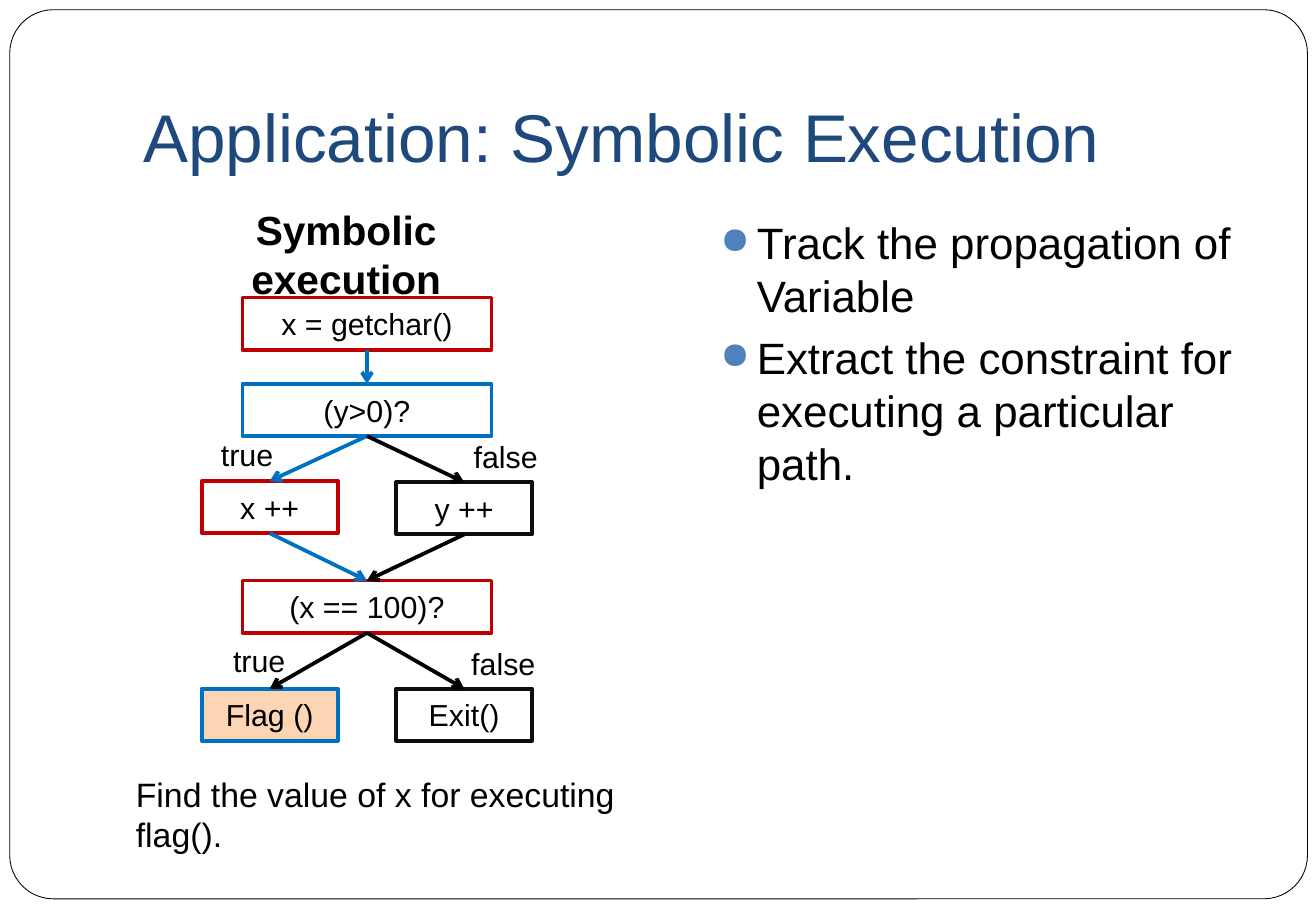
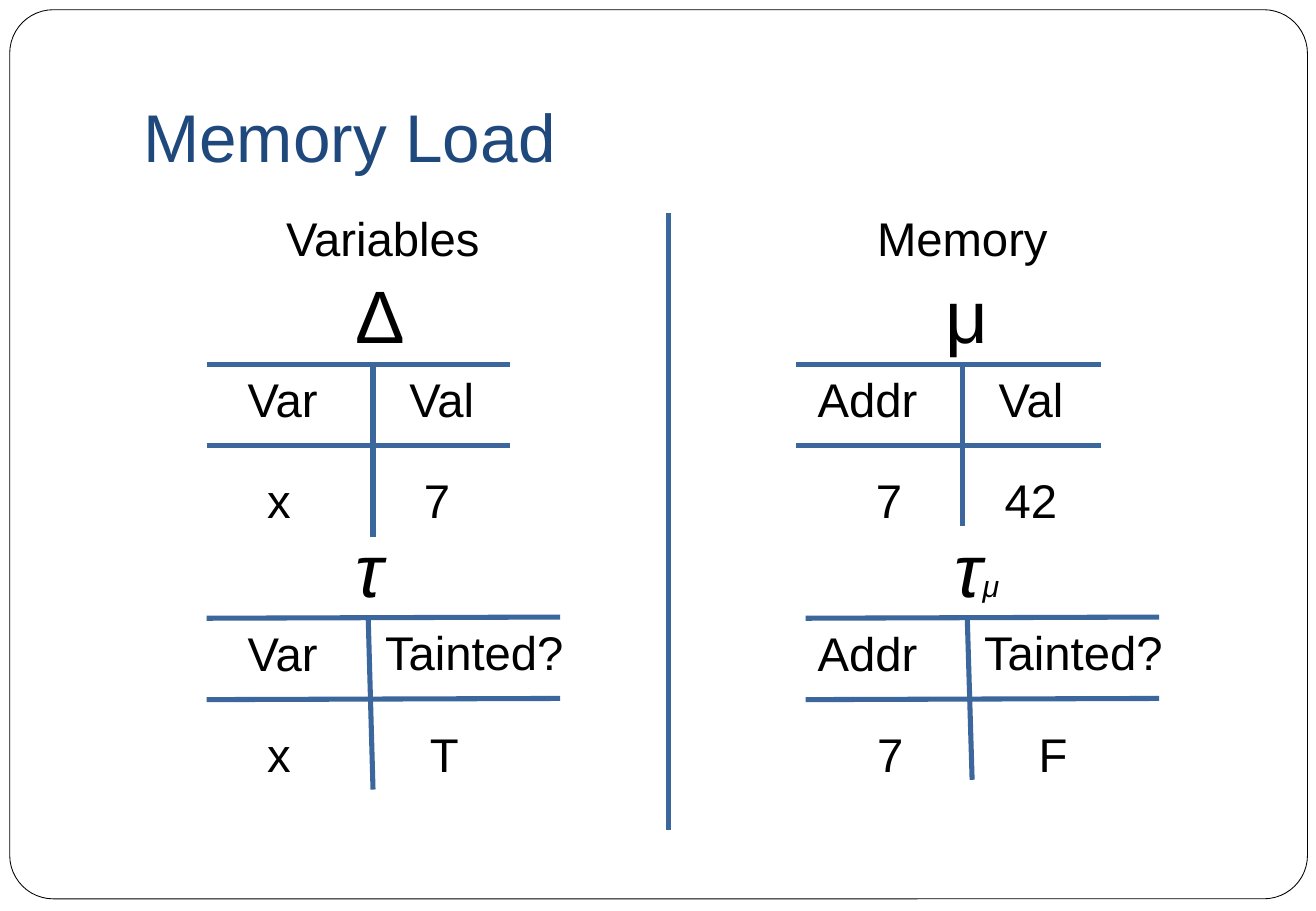
from dataclasses import dataclass

from lxml import etree
from pptx import Presentation
from pptx.dml.color import RGBColor
from pptx.enum.shapes import MSO_CONNECTOR, MSO_SHAPE
from pptx.enum.text import MSO_ANCHOR, MSO_AUTO_SIZE, PP_ALIGN
from pptx.oxml.ns import qn
from pptx.util import Inches, Pt

STRAIGHT = MSO_CONNECTOR.STRAIGHT
RECTANGLE = MSO_SHAPE.RECTANGLE
ROUNDED = MSO_SHAPE.ROUNDED_RECTANGLE
TOP, MIDDLE, BOTTOM = MSO_ANCHOR.TOP, MSO_ANCHOR.MIDDLE, MSO_ANCHOR.BOTTOM
GROW = MSO_AUTO_SIZE.SHAPE_TO_FIT_TEXT
LEFT, CENTER = PP_ALIGN.LEFT, PP_ALIGN.CENTER
BOTTOM_SITE, TOP_SITE = 2, 0


@dataclass(frozen=True)
class Theme:
    """Colours, font and type sizes shared by all slides."""

    font: str = "Arial"
    ink: str = "000000"
    paper: str = "FFFFFF"
    title: str = "1F497D"
    bullet: str = "4F81BD"
    rule: str = "3B679C"
    red: str = "C00000"
    blue: str = "0070C0"
    dark: str = "0D0D0D"
    peach: str = "FCD5B5"
    title_size: float = 40
    symbol_size: float = 44
    column_size: float = 28
    body_size: float = 26
    heading_size: float = 24.1
    caption_size: float = 20
    node_size: float = 18
    space_before: float = 5.8


@dataclass(frozen=True)
class Ledger:
    """A two-column lookup with offsets measured from its left edge."""

    left: float
    top: float
    width: float
    depth: float
    symbol: tuple
    key: tuple
    value_heading: str
    entry_key: tuple
    entry_value: tuple
    slanted: bool = False


THEME = Theme()


def rgb(color):
    """Turn a hex string into a colour."""
    return RGBColor.from_string(color)


def style(para, size, color=THEME.ink, bold=None, italic=None, align=LEFT):
    """Set the font and alignment of a paragraph."""
    para.alignment = align
    font = para.font
    font.name, font.size, font.bold, font.italic = THEME.font, Pt(size), bold, italic
    font.color.rgb = rgb(color)


def add_text(shapes, box, text, size, anchor=TOP, wrap=True, grow=False, **look):
    """Add a one-paragraph text box and return it."""
    label = shapes.add_textbox(*map(Inches, box))
    frame = label.text_frame
    frame.word_wrap = wrap
    frame.vertical_anchor = anchor
    if grow:
        frame.auto_size = GROW
    frame.text = text
    style(frame.paragraphs[0], size, **look)
    return label


def add_panel(shapes, kind, box, line_color, line_width, fill=THEME.paper):
    """Add a filled, outlined shape without shadow."""
    panel = shapes.add_shape(kind, *map(Inches, box))
    panel.shadow.inherit = False
    panel.fill.solid()
    panel.fill.fore_color.rgb = rgb(fill)
    panel.line.color.rgb = rgb(line_color)
    panel.line.width = Pt(line_width)
    return panel


def add_line(shapes, start, end, color, width, arrow=False):
    """Add a straight connector, with an arrowhead if asked."""
    line = shapes.add_connector(STRAIGHT, *map(Inches, (*start, *end)))
    line.line.color.rgb = rgb(color)
    line.line.width = Pt(width)
    properties = line._element.spPr
    if arrow:
        etree.SubElement(properties.find(qn("a:ln")), qn("a:tailEnd"), type="arrow")
    etree.SubElement(properties, qn("a:effectLst"))
    return line


def start_page(deck, title):
    """Add a blank slide with the rounded frame and the title."""
    page = deck.slides.add_slide(deck.slide_layouts[6])
    frame = add_panel(page.shapes, ROUNDED, (0.08, 0.08, 10.68, 7.32), THEME.ink, 0.5)
    frame.adjustments[0] = 0.049
    heading = add_text(page.shapes, (1.08, 0.3, 9.21, 1.25), title, THEME.title_size,
                       anchor=BOTTOM, color=THEME.title)
    heading.text_frame.margin_bottom = Inches(0.1)
    return page


def draw_flowchart(page, left, top):
    """Draw the branching program with its top left corner at the given point."""
    wide, narrow, height = 2.05, 1.12, 0.43
    true_x, middle_x, false_x = 0.56, 1.36, 2.16
    node_rows = {
        "input": (middle_x, 0, wide, "x = getchar()", THEME.red, THEME.paper),
        "test y": (middle_x, 0.71, wide, "(y>0)?", THEME.blue, THEME.paper),
        "add x": (true_x, 1.51, narrow, "x ++", THEME.red, THEME.paper),
        "add y": (false_x, 1.52, narrow, "y ++", THEME.dark, THEME.paper),
        "test x": (middle_x, 2.33, wide, "(x == 100)?", THEME.red, THEME.paper),
        "flag": (true_x, 3.22, narrow, "Flag ()", THEME.blue, THEME.peach),
        "exit": (false_x, 3.22, narrow, "Exit()", THEME.dark, THEME.paper),
    }
    nodes = {}
    for name, (center, y, width, text, line_color, fill) in node_rows.items():
        box = (left + center - width / 2, top + y, width, height)
        node = add_panel(page.shapes, RECTANGLE, box, line_color, 2.25, fill)
        node.text_frame.text = text
        node.text_frame.vertical_anchor = MIDDLE
        style(node.text_frame.paragraphs[0], THEME.node_size, align=CENTER)
        nodes[name] = node

    for source, target, color in (
        ("input", "test y", THEME.blue),
        ("test y", "add x", THEME.blue),
        ("test y", "add y", THEME.ink),
        ("add x", "test x", THEME.blue),
        ("add y", "test x", THEME.ink),
        ("test x", "flag", THEME.ink),
        ("test x", "exit", THEME.ink),
    ):
        arrow = add_line(page.shapes, (left, top), (left, top), color, 2.25, arrow=True)
        arrow.begin_connect(nodes[source], BOTTOM_SITE)
        arrow.end_connect(nodes[target], TOP_SITE)

    for text, x, y, width in (
        ("true", 0.06, 1.09, 0.64),
        ("false", 2.14, 1.11, 0.73),
        ("true", 0.16, 2.79, 0.64),
        ("false", 2.12, 2.81, 0.73),
    ):
        add_text(page.shapes, (left + x, top + y, width, 0.4), text, THEME.node_size,
                 wrap=False, grow=True)


def add_bullets(page, box, items):
    """Add a bulleted list inside the given box."""
    frame = page.shapes.add_textbox(*map(Inches, box)).text_frame
    frame.word_wrap = True
    for index, item in enumerate(items):
        para = frame.add_paragraph() if index else frame.paragraphs[0]
        para.text = item
        properties = para._p.get_or_add_pPr()
        properties.set("marL", str(Inches(0.3)))
        properties.set("indent", str(Inches(-0.3)))
        bullet_color = etree.SubElement(properties, qn("a:buClr"))
        etree.SubElement(bullet_color, qn("a:srgbClr"), val=THEME.bullet)
        etree.SubElement(properties, qn("a:buSzPct"), val="85000")
        etree.SubElement(properties, qn("a:buChar"), char="●")
        style(para, THEME.body_size)
        if index:
            para.space_before = Pt(THEME.space_before)


def draw_ledger(page, ledger):
    """Draw a ledger's rules, symbol, headings and entry as one group."""
    shapes = page.shapes.add_group_shape().shapes
    left, top = ledger.left, ledger.top
    rise, lean = (0.01, 0.04) if ledger.slanted else (0, 0)
    column = 1.37

    symbol, subscript = ledger.symbol
    label = add_text(shapes, (left + 1.13, top - 0.83, 0.65 if subscript else 0.57, 0.84),
                     symbol, THEME.symbol_size, grow=True, italic=ledger.slanted)
    if subscript:
        span = label.text_frame.paragraphs[0].add_run()
        span.text = subscript
        span.font.size = Pt(THEME.node_size)

    key_text, key_x = ledger.key
    add_text(shapes, (left + key_x, top, 1.25, 0.57), key_text, THEME.column_size, grow=True)
    value_width, align = (1.98, LEFT) if ledger.slanted else (1.13, CENTER)
    add_text(shapes, (left + column, top - rise, value_width, 0.57), ledger.value_heading,
             THEME.column_size, grow=True, align=align)
    for text, x in (ledger.entry_key, ledger.entry_value):
        add_text(shapes, (left + x, top + 0.83, 0.4 * len(text), 0.57), text,
                 THEME.column_size, grow=True)

    right = left + ledger.width
    for y in (top, top + 0.67):
        add_line(shapes, (left, y), (right, y - rise), THEME.rule, 3)
    add_line(shapes, (left + column - lean, top - rise),
             (left + column, top + ledger.depth - rise), THEME.rule, 3)


def build_symbolic_execution(deck):
    """Build the slide with the flowchart and its explanation."""
    page = start_page(deck, "Application: Symbolic Execution")
    add_text(page.shapes, (1.32, 1.64, 3.06, 0.54), "Symbolic execution",
             THEME.heading_size, bold=True, align=CENTER)
    draw_flowchart(page, 1.66, 2.45)
    add_text(page.shapes, (1.02, 6.32, 4.73, 0.43),
             "Find the value of x for executing flag().", THEME.caption_size)
    add_bullets(page, (5.83, 1.73, 4.46, 4.86), (
        "Track the propagation of Variable",
        "Extract the constraint for executing a particular path.",
    ))


def build_memory_load(deck):
    """Build the slide that sets variables beside memory."""
    page = start_page(deck, "Memory Load")
    for text, left in (("Variables", 2.1), ("Memory", 6.87)):
        add_text(page.shapes, (left, 1.67, 2.1, 0.57), text, THEME.column_size,
                 grow=True, align=CENTER)
    for ledger in (
        Ledger(1.7, 3, 2.5, 1.42, ("Δ", ""), ("Var", 0.24), "Val",
               ("x", 0.4), ("7", 1.69)),
        Ledger(1.7, 5.09, 2.91, 1.42, ("τ", ""), ("Var", 0.24), "Tainted?",
               ("x", 0.4), ("T", 1.74), slanted=True),
        Ledger(6.55, 3, 2.51, 1.33, ("μ", ""), ("Addr", 0.08), "Val",
               ("7", 0.56), ("42", 1.62)),
        Ledger(6.63, 5.09, 2.91, 1.34, ("τ", "μ"), ("Addr", 0), "Tainted?",
               ("7", 0.49), ("F", 1.82), slanted=True),
    ):
        draw_ledger(page, ledger)
    add_line(page.shapes, (5.5, 1.75), (5.5, 6.83), THEME.rule, 3)


def main():
    """Build and save the deck."""
    deck = Presentation()
    deck.slide_width, deck.slide_height = Inches(10.83), Inches(7.5)
    build_symbolic_execution(deck)
    build_memory_load(deck)
    deck.save("out.pptx")


if __name__ == "__main__":
    main()
